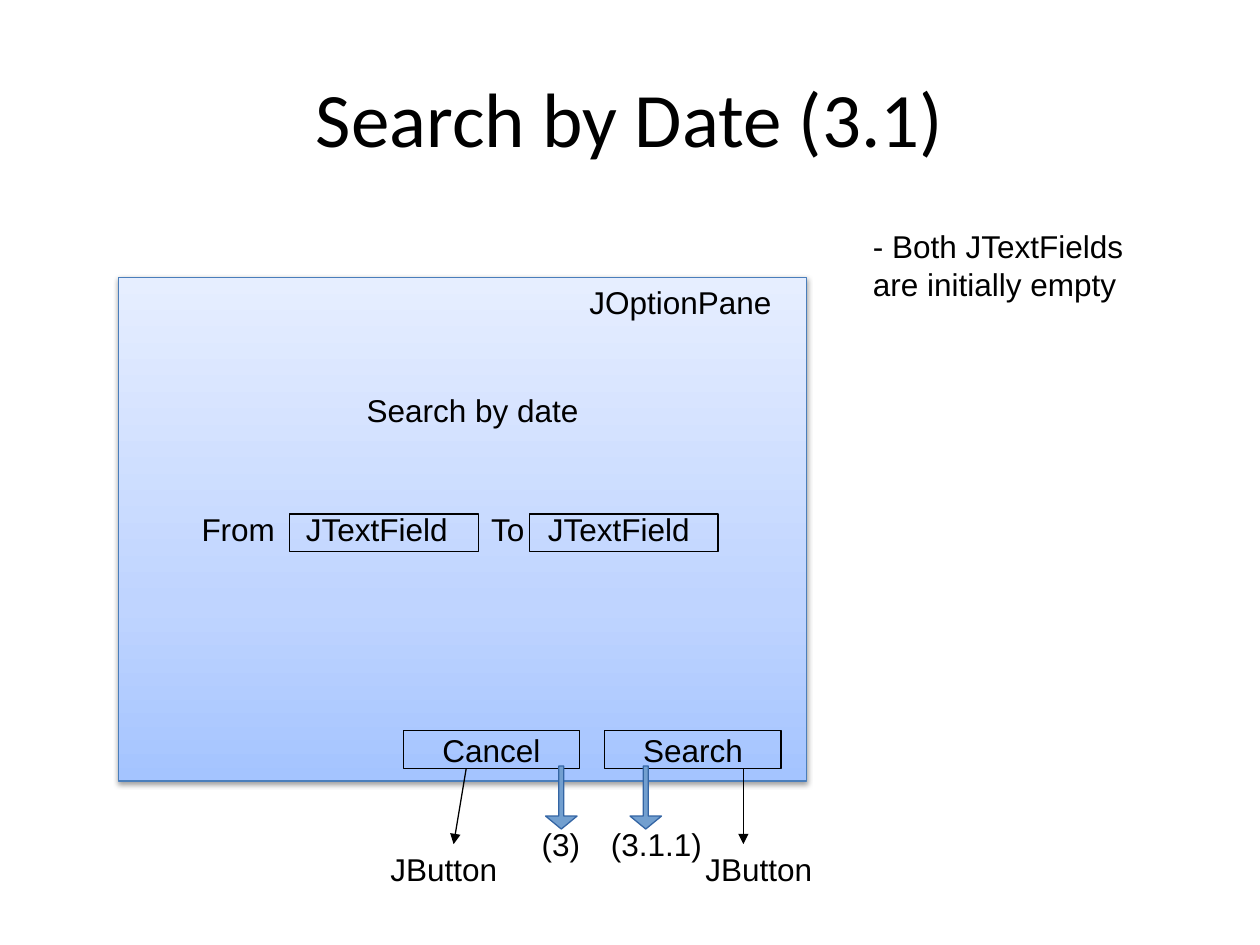
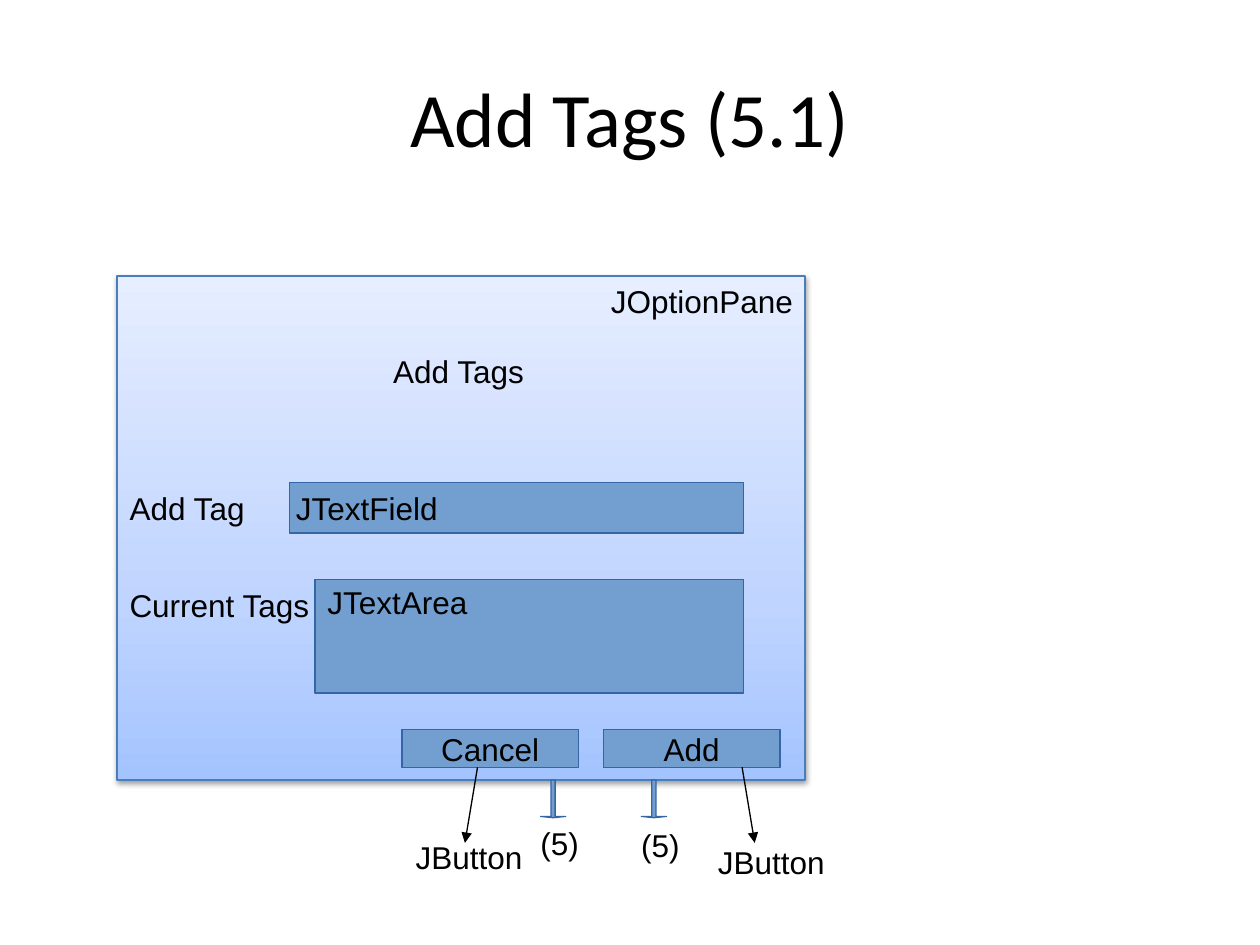
from lxml import etree
from pptx import Presentation
from pptx import util as u
from pptx.dml.color import RGBColor
from pptx.enum import shapes, text
from pptx.oxml import ns

BLACK, STEEL, STEEL_EDGE, PANE_EDGE = "000000", "729FCF", "3465A4", "4A7EBB"
PANE_STOPS = ((0, "A4C4FF"), (35, "BFD4FF"), (100, "E6EEFF"))
MIDDLE, TOP = text.MSO_ANCHOR.MIDDLE, text.MSO_ANCHOR.TOP
LEFT, CENTER = text.PP_ALIGN.LEFT, text.PP_ALIGN.CENTER


def color(hex_string):
    return RGBColor.from_string(hex_string)


def child(parent, tag, **attributes):
    return etree.SubElement(parent, ns.qn(tag), attributes)


def inches(*lengths):
    return [u.Inches(length) for length in lengths]


class Wireframe:
    """Style of the screen sketches, and the slide being drawn."""

    def __init__(self, prs):
        self.prs = prs
        self.slide = None

    def start(self, heading):
        self.slide = self.prs.slides.add_slide(self.prs.slide_layouts[5])
        title = self.slide.shapes.title
        title.left, title.top, title.width, title.height = inches(0.5, 0.3, 9, 1.25)
        frame = title.text_frame
        frame.margin_left = frame.margin_right = frame.margin_top = frame.margin_bottom = 0
        self.caption(title, heading, CENTER, MIDDLE, size=44, font="Calibri")

    def caption(self, shape, words, align=LEFT, anchor=TOP, wrap=True, size=18, font="Arial"):
        frame = shape.text_frame
        frame.text = words
        frame.word_wrap, frame.vertical_anchor = wrap, anchor
        paragraph = frame.paragraphs[0]
        paragraph.alignment = align
        paragraph.font.size, paragraph.font.name = u.Pt(size), font
        paragraph.font.color.rgb = color(BLACK)

    def label(self, words, x, y, w=1.4, h=0.66, **layout):
        box = self.slide.shapes.add_textbox(*inches(x, y, w, h))
        self.caption(box, words, **layout)

    def shape(self, kind, x, y, w, h, fill=None, edge=BLACK):
        shape = self.slide.shapes.add_shape(kind, *inches(x, y, w, h))
        shape.line.color.rgb, shape.line.width = color(edge), u.Pt(0.75)
        shape.shadow.inherit = False
        if fill:
            shape.fill.solid()
            shape.fill.fore_color.rgb = color(fill)
        else:
            shape.fill.background()
        return shape

    def field(self, x, y, w, h, fill=None, edge=BLACK):
        return self.shape(shapes.MSO_SHAPE.RECTANGLE, x, y, w, h, fill, edge)

    def button(self, words, x, y, **colors):
        self.caption(self.field(x, y, 1.4, 0.3, **colors), words, CENTER, MIDDLE, wrap=False)

    def option_pane(self, x, y):
        pane = self.field(x, y, 5.46, 4, edge=PANE_EDGE)
        # Gradient with three stops, darkest at the bottom
        pane.fill.gradient()
        pane.fill.gradient_angle = 90
        properties = pane._element.spPr
        stops = properties.find(".//" + ns.qn("a:gsLst"))
        for stop in list(stops):
            stops.remove(stop)
        for percent, tint in PANE_STOPS:
            stop = child(stops, "a:gs", pos=str(percent * 1000))
            child(stop, "a:srgbClr", val=tint)
        # Soft shadow straight below
        shadow = child(properties.find(ns.qn("a:effectLst")), "a:outerShdw",
                       blurRad=str(u.Pt(3.1)), dist=str(u.Pt(1.6)),
                       dir="5400000", rotWithShape="0")
        child(child(shadow, "a:srgbClr", val=BLACK), "a:alpha", val="38000")
        return pane

    def block_arrow(self, x, y, w, h, head):
        arrow = self.shape(shapes.MSO_SHAPE.DOWN_ARROW, x, y, w, h, STEEL, STEEL_EDGE)
        arrow.adjustments[0], arrow.adjustments[1] = 0.162, head

    def pointer(self, x1, y1, x2, y2):
        connector = self.slide.shapes.add_connector(
            shapes.MSO_CONNECTOR.STRAIGHT, *inches(x1, y1, x2, y2))
        connector.line.color.rgb, connector.line.width = color(BLACK), u.Pt(0.75)
        properties = connector._element.spPr
        child(properties.find(ns.qn("a:ln")), "a:tailEnd", type="triangle")
        child(properties, "a:effectLst")


prs = Presentation()
prs.slide_width, prs.slide_height = inches(10, 7.5)
sketch = Wireframe(prs)

# Slide 1: search dialog
sketch.start("Search by Date (3.1)")
pane = sketch.option_pane(0.94, 2.2)
sketch.caption(pane, "From", anchor=MIDDLE)
pane.text_frame.margin_left = u.Inches(0.66)
sketch.label("Search by date", 1.5, 3, 4.5, 0.5, align=CENTER, anchor=MIDDLE, wrap=False)
sketch.label("To", 3.8, 4, 0.5, 0.38)
for field_x, name_x in ((2.3, 2.33), (4.2, 4.25)):
    sketch.field(field_x, 4.08, 1.5, 0.3)
    sketch.label("JTextField", name_x, 4)
for words, x in (("Cancel", 3.2), ("Search", 4.8)):
    sketch.button(words, x, 5.8)
sketch.label("JOptionPane", 4.58, 2.2, 1.92)
# Where the buttons lead
for target, arrow_x, target_x, w in (("(3)", 4.33, 4.2, 0.6), ("(3.1.1)", 5, 4.75, 1.27)):
    sketch.block_arrow(arrow_x, 6.08, 0.25, 0.5, head=0.41)
    sketch.label(target, target_x, 6.5, w, 0.4)
for start_x, end_x, name_x in ((3.7, 3.6, 3), (5.9, 5.9, 5.5)):
    sketch.pointer(start_x, 6.1, end_x, 6.7)
    sketch.label("JButton", name_x, 6.7)
sketch.label("- Both JTextFields are initially empty", 6.83, 1.75, 2.33, 0.71)

# Slide 2: tag dialog
sketch.start("Add Tags (5.1)")
sketch.option_pane(0.93, 2.19)
sketch.label("Add Tags", 1.39, 2.69, 4.5, 0.5, align=CENTER, anchor=MIDDLE, wrap=False)
sketch.label("JOptionPane", 4.75, 2.19, 1.74)
for words, name, x, y, h, name_x, name_y in (
        ("Add Tag", "JTextField", 2.3, 3.83, 0.4, 2.25, 3.83),
        ("Current Tags", "JTextArea", 2.5, 4.6, 0.9, 2.5, 4.58)):
    sketch.field(x, y, 5.9 - x, h, STEEL, STEEL_EDGE)
    sketch.label(words, 0.93, y, 1.66)
    sketch.label(name, name_x, name_y, 1.8, 0.38)
for words, x in (("Cancel", 3.19), ("Add", 4.79)):
    sketch.button(words, x, 5.79, fill=STEEL, edge=STEEL_EDGE)
# Where the buttons lead
for arrow_x, target_x, target_y in ((4.29, 4.19, 6.49), (5.09, 4.99, 6.51)):
    sketch.block_arrow(arrow_x, 6.19, 0.2, 0.3, head=0.05)
    sketch.label("(5)", target_x, target_y, 0.7, 0.38)
for start_x, end_x, name_x, name_y in ((3.79, 3.69, 3.2, 6.6), (5.89, 5.99, 5.6, 6.64)):
    sketch.pointer(start_x, 6.09, end_x, 6.69)
    sketch.label("JButton", name_x, name_y)

prs.save("out.pptx")
